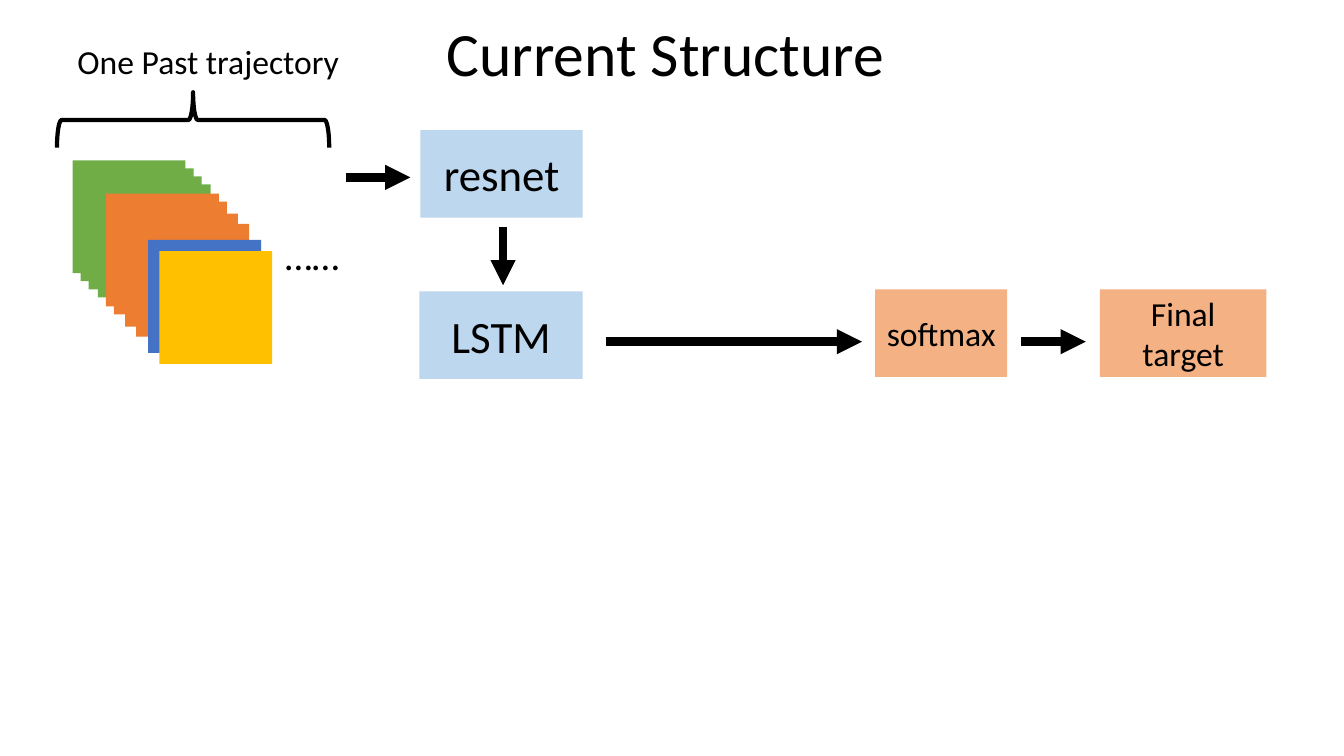
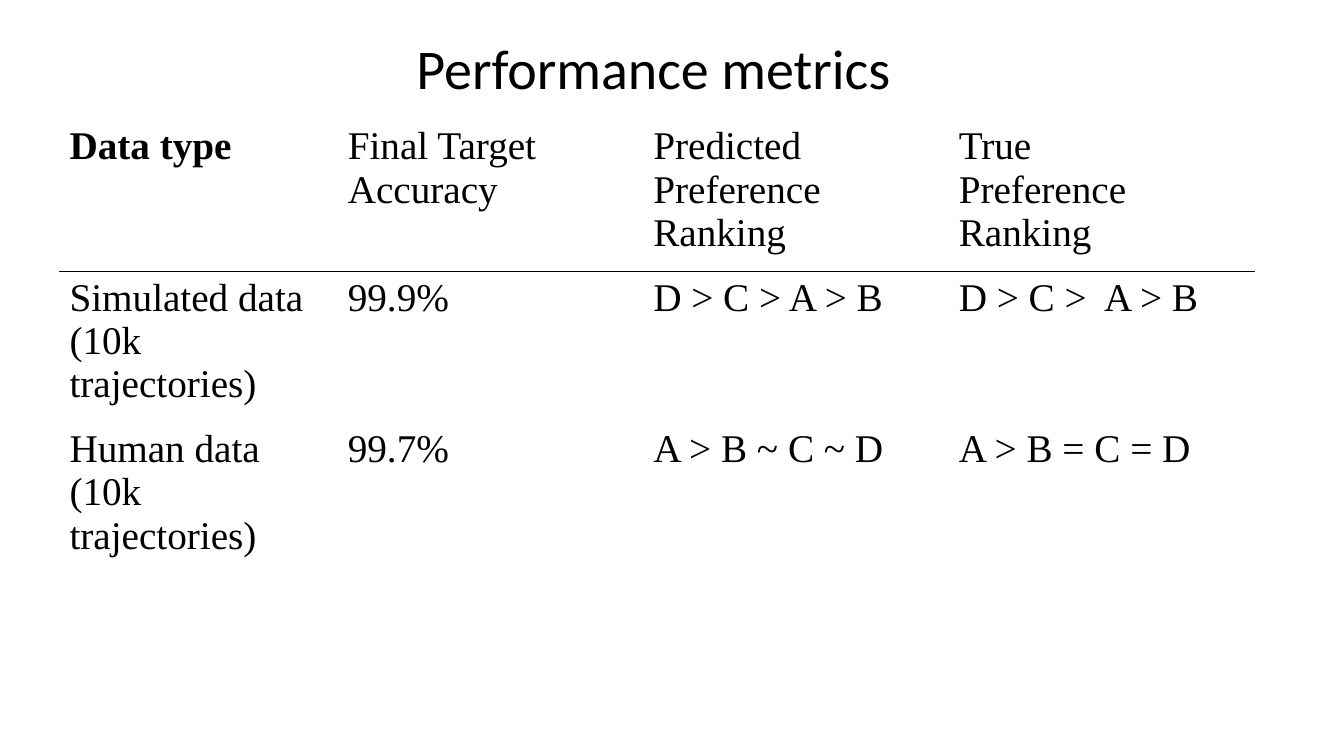
"""Build two slides: a model structure diagram and a table of performance metrics."""
from lxml import etree
from pptx import Presentation
from pptx.dml.color import RGBColor
from pptx.enum.shapes import MSO_CONNECTOR, MSO_SHAPE
from pptx.enum.text import MSO_ANCHOR, MSO_AUTO_SIZE, PP_ALIGN
from pptx.oxml import parse_xml
from pptx.oxml.ns import nsdecls, qn
from pptx.util import Inches, Pt

RECTANGLE, BRACE = MSO_SHAPE.RECTANGLE, MSO_SHAPE.LEFT_BRACE
STRAIGHT = MSO_CONNECTOR.STRAIGHT
LEFT, CENTER = PP_ALIGN.LEFT, PP_ALIGN.CENTER
TOP, MIDDLE = MSO_ANCHOR.TOP, MSO_ANCHOR.MIDDLE
NO_RESIZE = MSO_AUTO_SIZE.NONE

COLORS = {
    "text": "000000", "green": "70AD47", "orange": "ED7D31", "blue": "4472C4",
    "yellow": "FFC000", "network": "BDD7EE", "output": "F4B183",
}
RGB = {name: RGBColor.from_string(value) for name, value in COLORS.items()}
SANS, SERIF = "Calibri", "Times New Roman"
TITLE_ONLY = 5


def write_text(frame, lines, size, font=SANS, align=LEFT, anchor=TOP, wrap=True, bold=False):
    """Fill a text frame with one paragraph per line in a single format."""
    frame_format = {"word_wrap": wrap, "auto_size": NO_RESIZE, "vertical_anchor": anchor}
    for name, value in frame_format.items():
        setattr(frame, name, value)
    font_format = {"name": font, "size": Pt(size), "bold": bold}
    for number, line in enumerate(lines):
        para = frame.add_paragraph() if number else frame.paragraphs[0]
        para.alignment = align
        span = para.add_run()
        span.text = line
        for name, value in font_format.items():
            setattr(span.font, name, value)
        span.font.color.rgb = RGB["text"]


def add_block(shapes, place, color):
    """Add a plain filled rectangle."""
    block = shapes.add_shape(RECTANGLE, *map(Inches, place))
    block.shadow.inherit = False
    block.fill.solid()
    block.fill.fore_color.rgb = RGB[color]
    block.line.fill.background()
    return block


deck = Presentation()
deck.slide_width, deck.slide_height = Inches(13.33), Inches(7.5)

titles = [
    ("Current Structure ", (0.92, -0.16, 11.5, 1.45), 44, CENTER, MIDDLE, 0.9),
    ("Performance metrics", (4.03, 0.28, 5.13, 0.77), 40, LEFT, TOP, 1.0),
]
pages = []
for words, place, size, align, anchor, spacing in titles:
    page = deck.slides.add_slide(deck.slide_layouts[TITLE_ONLY])
    title = page.shapes.title
    for name, value in zip(("left", "top", "width", "height"), place):
        setattr(title, name, Inches(value))
    write_text(title.text_frame, [words], size, align=align, anchor=anchor)
    title.text_frame.paragraphs[0].line_spacing = spacing
    pages.append(page)
structure_page, metrics_page = pages

frames = [
    (0.72, 1.59, "green"), (0.8, 1.67, "green"), (0.88, 1.75, "green"), (0.97, 1.83, "green"),
    (1.05, 1.92, "orange"), (1.13, 2, "orange"), (1.24, 2.12, "orange"), (1.35, 2.22, "orange"),
    (1.47, 2.38, "blue"), (1.58, 2.49, "yellow"),
]
trajectory = structure_page.shapes.add_group_shape()
for left, top, color in frames:
    add_block(trajectory.shapes, (left, top, 1.12, 1.12), color)

brace = structure_page.shapes.add_shape(BRACE, Inches(1.64), Inches(-0.16), Inches(0.55), Inches(2.7))
brace.rotation = 90
brace.shadow.inherit = False
brace.fill.background()
brace.line.color.rgb = RGB["text"]
brace.line.width = Pt(3)

labels = [
    ("……", (2.73, 2.25, 0.77, 0.57), 28, False),
    ("One Past trajectory", (0.67, 0.36, 2.84, 0.5), 24, True),
]
for words, place, size, wrap in labels:
    box = structure_page.shapes.add_textbox(*map(Inches, place))
    write_text(box.text_frame, [words], size, wrap=wrap)

stages = [
    ("resnet", (4.17, 1.29, 1.61, 0.87), "network", 32),
    ("LSTM", (4.16, 2.89, 1.62, 0.87), "network", 32),
    ("softmax", (8.68, 2.87, 1.31, 0.87), "output", 24),
    ("Final target", (10.91, 2.87, 1.65, 0.87), "output", 24),
]
for words, place, color, size in stages:
    stage = add_block(structure_page.shapes, place, color)
    write_text(stage.text_frame, [words], size, align=CENTER, anchor=MIDDLE)

arrows = [
    (4.99, 2.25, 4.99, 2.83), (3.43, 1.76, 4.07, 1.76),
    (6.01, 3.39, 8.55, 3.39), (10.13, 3.39, 10.77, 3.39),
]
for ends in arrows:
    arrow = structure_page.shapes.add_connector(STRAIGHT, *map(Inches, ends))
    arrow.line.color.rgb = RGB["text"]
    arrow.line.width = Pt(6)
    etree.SubElement(arrow.line._get_or_add_ln(), qn("a:tailEnd"), type="triangle")
    etree.SubElement(arrow._element.spPr, qn("a:effectLst"))

metrics = [
    [["Data type"], ["Final Target Accuracy"], ["Predicted", "Preference Ranking"],
     ["True", "Preference", "Ranking"]],
    [["Simulated data", "(10k trajectories)"], ["99.9%"], ["D > C > A > B"], ["D > C >  A > B"]],
    [["Human data", "(10k trajectories)"], ["99.7%"], ["A > B ~ C ~ D"], ["A > B = C = D"]],
]
widths = [2.76, 3.03, 3.03, 3.03]
row_height = 1.5
table = metrics_page.shapes.add_table(
    len(metrics), len(widths), Inches(0.59), Inches(1.19),
    Inches(sum(widths)), Inches(row_height * len(metrics)),
).table
table.first_row = table.horz_banding = False
for column, width in zip(table.columns, widths):
    column.width = Inches(width)

rule_sides = {0: "lnB", 1: "lnT"}
for row, entries in enumerate(metrics):
    for column, lines in enumerate(entries):
        cell = table.cell(row, column)
        write_text(cell.text_frame, lines, 28, font=SERIF, bold=row == column == 0)
        cell.fill.background()
        if row in rule_sides:
            side = rule_sides[row]
            rule = parse_xml(
                f'<a:{side} {nsdecls("a")} w="{Pt(1)}"><a:solidFill>'
                f'<a:srgbClr val="{COLORS["text"]}"/></a:solidFill></a:{side}>'
            )
            cell._tc.get_or_add_tcPr().insert(0, rule)

deck.save("out.pptx")
